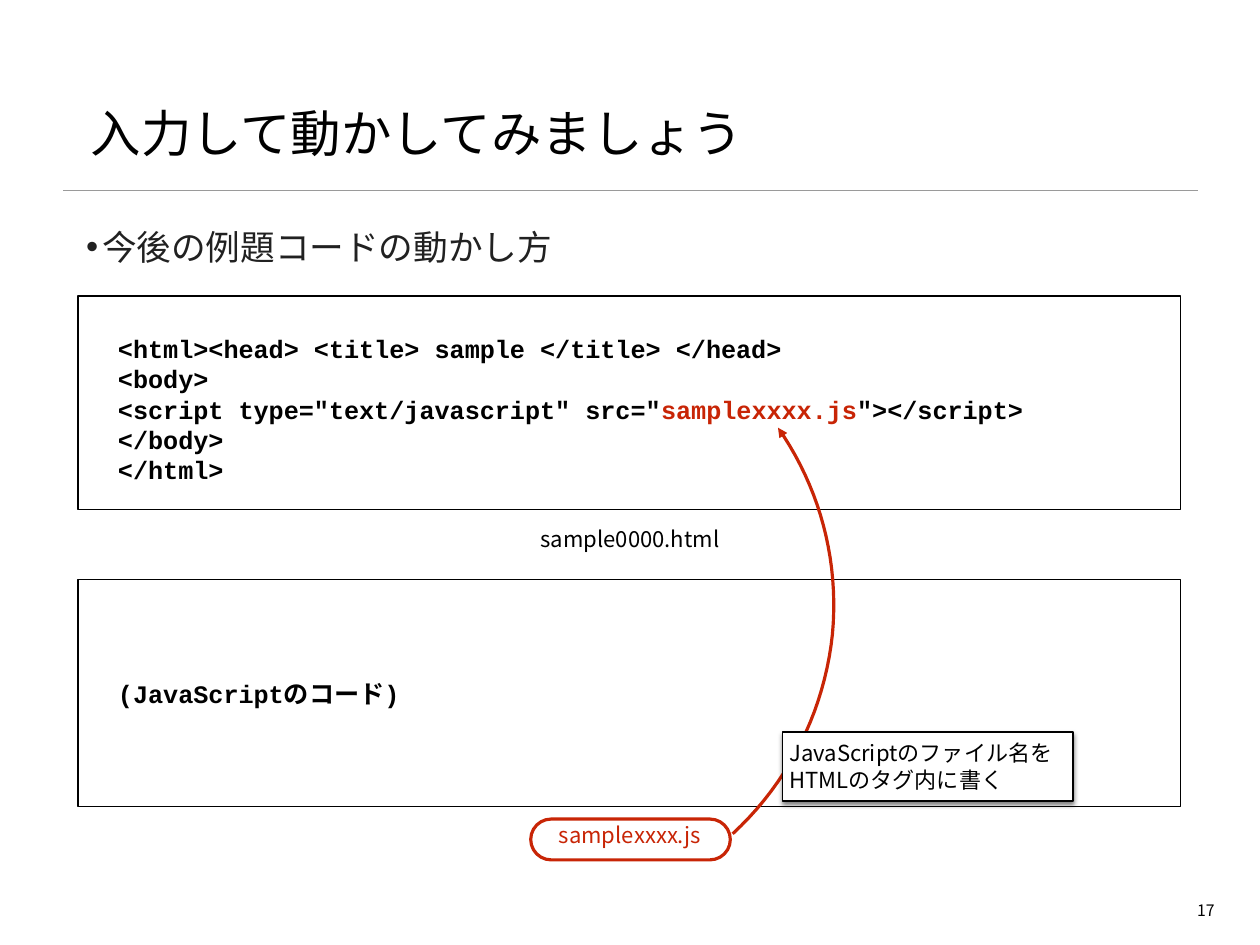
from lxml.etree import SubElement
from pptx import Presentation
from pptx.dml.color import RGBColor
from pptx.enum.shapes import MSO_CONNECTOR, MSO_SHAPE
from pptx.enum.text import MSO_ANCHOR, PP_ALIGN
from pptx.oxml.ns import qn
from pptx.util import Inches, Pt

COLORS = {"black": "000000", "body": "212121", "red": "C82506", "rule": "9A9A9A", "white": "FFFFFF"}
SANS = "Noto Sans CJK JP"
MONO = "Courier New"

TITLE = "入力して動かしてみましょう"
BULLET = "今後の例題コードの動かし方"
PAGE_NUMBER = "17"
SCRIPT_NAME = "samplexxxx.js"
HTML_LINES = [
    [("<html><head> <title> sample </title> </head>", "black")],
    [("<body>", "black")],
    [('<script type="text/javascript" src="', "black"), (SCRIPT_NAME, "red"), ('"></script>', "black")],
    [("</body>", "black")],
    [("</html>", "black")],
]
SCRIPT_LINES = [[("(JavaScriptのコード)", "black")]]
CALLOUT_LINES = [
    [("JavaScriptのファイル名を", "black")],
    [("HTMLのタグ内に書く", "black")],
]

CODE_LEFT, CODE_WIDTH = 0.69, 9.72
CODE_INDENT, CODE_LINE = 0.29, 0.27
CODE_BOXES = [(2.61, 1.88, 1, HTML_LINES), (5.11, 2, 3, SCRIPT_LINES)]
FILE_LABELS = [
    ((4.66, 4.59, 1.79, 0.31), "sample0000.html", "black"),
    ((4.84, 7.2, 1.43, 0.31), SCRIPT_NAME, "red"),
]
ARROW_CURVES = [
    [(6.46, 7.35), (6.96, 6.89), (7.27, 6.26), (7.34, 5.59)],
    [(7.34, 5.59), (7.4, 4.94), (7.23, 4.3), (6.86, 3.77)],
]
CURVE_STEPS = 20


def rgb(name):
    return RGBColor.from_string(COLORS[name])


def place(shape, box):
    shape.left, shape.top, shape.width, shape.height = map(Inches, box)


def set_insets(frame, left, top, right, bottom):
    frame.margin_left, frame.margin_top = Inches(left), Inches(top)
    frame.margin_right, frame.margin_bottom = Inches(right), Inches(bottom)


def write(frame, lines, size, font=SANS, bold=False, align=PP_ALIGN.LEFT):
    for index, runs in enumerate(lines):
        paragraph = frame.add_paragraph() if index else frame.paragraphs[0]
        paragraph.alignment = align
        paragraph.font.size = Pt(size)
        paragraph.font.bold = bold
        paragraph.font.name = font
        defaults = paragraph._p.pPr.find(qn("a:defRPr"))
        SubElement(defaults, qn("a:ea"), typeface=SANS)
        for text, color in runs:
            run = paragraph.add_run()
            run.text = text
            run.font.color.rgb = rgb(color)


def style(shape, line, width, fill=None):
    shape.shadow.inherit = False
    shape.line.color.rgb = rgb(line)
    shape.line.width = Pt(width)
    if fill:
        shape.fill.solid()
        shape.fill.fore_color.rgb = rgb(fill)
    else:
        shape.fill.background()


def add_box(slide, kind, box, line, width, fill=None):
    shape = slide.shapes.add_shape(kind, *map(Inches, box))
    style(shape, line, width, fill)
    return shape


def add_label(slide, box, text, color, size, inset, align, anchor):
    frame = slide.shapes.add_textbox(*map(Inches, box)).text_frame
    frame.word_wrap = False
    frame.vertical_anchor = anchor
    set_insets(frame, *[inset] * 4)
    write(frame, [[(text, color)]], size, align=align)


def curve_points(curve):
    for step in range(CURVE_STEPS + 1):
        t = step / CURVE_STEPS
        weights = ((1 - t) ** 3, 3 * t * (1 - t) ** 2, 3 * t * t * (1 - t), t ** 3)
        yield tuple(Inches(sum(w * point[axis] for w, point in zip(weights, curve))) for axis in (0, 1))


def add_headings(slide):
    rule = slide.shapes.add_connector(
        MSO_CONNECTOR.STRAIGHT, Inches(0.56), Inches(1.68), Inches(10.56), Inches(1.68))
    rule.line.color.rgb = rgb("rule")
    rule.line.width = Pt(1)
    SubElement(rule._element.spPr, qn("a:effectLst"))

    title = slide.shapes.title
    place(title, (0.76, 0.28, 9.59, 1.19))
    title.text_frame.vertical_anchor = MSO_ANCHOR.BOTTOM
    set_insets(title.text_frame, *[0.04] * 4)
    write(title.text_frame, [[(TITLE, "black")]], 32)

    body = slide.placeholders[1]
    place(body, (0.76, 1.99, 9.59, 5.61))
    set_insets(body.text_frame, 0, 0, 0, 0)
    write(body.text_frame, [[(BULLET, "body")]], 22)
    paragraph = body.text_frame.paragraphs[0]
    paragraph.space_before = Pt(18)
    properties = paragraph._p.pPr
    properties.set("marL", str(Inches(0.14)))
    properties.set("indent", str(-Inches(0.14)))

    add_label(slide, (10.47, 7.9, 0.28, 0.22), PAGE_NUMBER, "black", 10, 0.04,
              PP_ALIGN.RIGHT, MSO_ANCHOR.TOP)


def add_code(slide):
    for top, height, skipped_lines, lines in CODE_BOXES:
        box = add_box(slide, MSO_SHAPE.RECTANGLE, (CODE_LEFT, top, CODE_WIDTH, height), "black", 1, "white")
        frame = box.text_frame
        frame.word_wrap = True
        frame.vertical_anchor = MSO_ANCHOR.TOP
        set_insets(frame, 0.06 + CODE_INDENT, 0.06 + skipped_lines * CODE_LINE, 0.06, 0.06)
        write(frame, lines, 16, MONO, True)
    for box, text, color in FILE_LABELS:
        add_label(slide, box, text, color, 14, 0.06, PP_ALIGN.CENTER, MSO_ANCHOR.MIDDLE)


def add_explanation(slide):
    outline = add_box(slide, MSO_SHAPE.ROUNDED_RECTANGLE, (4.68, 7.22, 1.76, 0.36), "red", 2)
    outline.adjustments[0] = 0.5

    first, second = [list(curve_points(curve)) for curve in ARROW_CURVES]
    points = first + second[1:]
    builder = slide.shapes.build_freeform(*points[0])
    builder.add_line_segments(points[1:], close=False)
    arrow = builder.convert_to_shape()
    style(arrow, "red", 2)
    SubElement(arrow.line._get_or_add_ln(), qn("a:tailEnd"), type="triangle")

    callout = add_box(slide, MSO_SHAPE.RECTANGLE, (6.9, 6.45, 2.56, 0.61), "black", 1, "white")
    effects = callout._element.spPr.find(qn("a:effectLst"))
    shadow = SubElement(effects, qn("a:outerShdw"), blurRad=str(Pt(3)), dist=str(Pt(2)),
                        dir="5400000", rotWithShape="0")
    shade = SubElement(shadow, qn("a:srgbClr"), val=COLORS["black"])
    SubElement(shade, qn("a:alpha"), val="50000")
    frame = callout.text_frame
    frame.word_wrap = False
    frame.vertical_anchor = MSO_ANCHOR.MIDDLE
    set_insets(frame, *[0.06] * 4)
    write(frame, CALLOUT_LINES, 14)


def main():
    presentation = Presentation()
    presentation.slide_width = Inches(11.11)
    presentation.slide_height = Inches(8.33)
    slide = presentation.slides.add_slide(presentation.slide_layouts[1])
    add_headings(slide)
    add_code(slide)
    add_explanation(slide)
    presentation.save("out.pptx")


if __name__ == "__main__":
    main()
